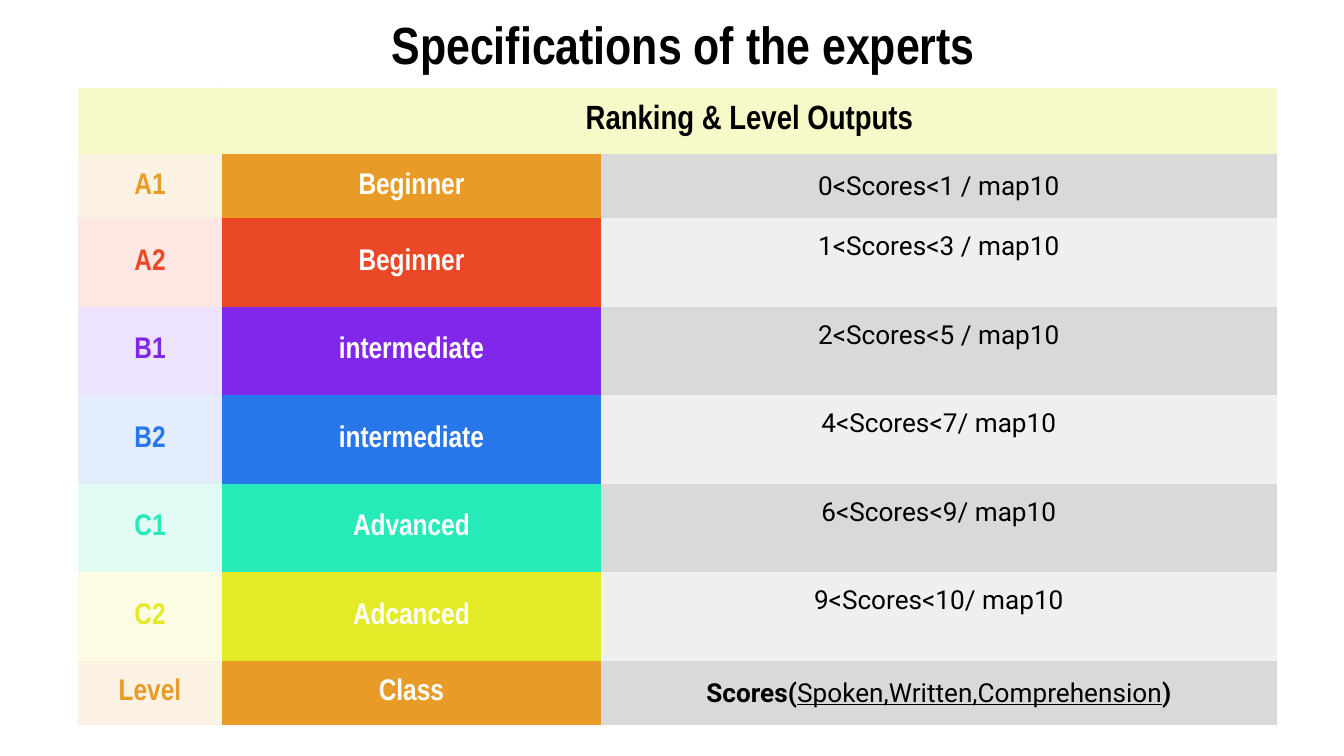
import pptx
import pptx.dml.color
import pptx.enum.text
import pptx.oxml.ns
import pptx.util
from lxml import etree

RGB = pptx.dml.color.RGBColor
ANCHOR = pptx.enum.text.MSO_ANCHOR
SCALE = 914400 / 134.4  # EMU in one px

BLACK = RGB(0x00, 0x00, 0x00)
WHITE = RGB(0xFF, 0xFF, 0xFF)
ORANGE = RGB(0xE9, 0x9B, 0x27)
RED = RGB(0xEA, 0x48, 0x27)
PURPLE = RGB(0x80, 0x27, 0xEA)
BLUE = RGB(0x27, 0x76, 0xEA)
GREEN = RGB(0x26, 0xEA, 0xB8)
YELLOW = RGB(0xE4, 0xEA, 0x27)
GREY = RGB(0xD9, 0xD9, 0xD9)
PALE = RGB(0xEF, 0xEF, 0xEF)

PLAIN = "{2D5ABB26-0587-4C30-8999-92F81FD0307C}"  # table style without grid


def px(n):
    return pptx.util.Emu(round(n * SCALE))


class Deck:
    head = "Arial Narrow"
    body = "Roboto"
    pad = 13

    def __init__(self, width, height):
        self.file = pptx.Presentation()
        self.file.slide_width, self.file.slide_height = px(width), px(height)
        self.slide = self.file.slides.add_slide(self.file.slide_layouts[6])

    def text(self, frame, runs, size, font, color):
        """Each run is (words, bold, underline)."""
        par = frame.paragraphs[0]
        par.alignment = pptx.enum.text.PP_ALIGN.CENTER
        for words, bold, line in runs:
            run = par.add_run()
            run.text = words
            run.font.size = pptx.util.Pt(size)
            run.font.name = font
            run.font.bold = bold
            run.font.underline = line
            run.font.color.rgb = color

    def inset(self, part):
        part.margin_left = part.margin_right = px(self.pad)
        part.margin_top = part.margin_bottom = px(self.pad)

    def title(self, words, left, top, width, height):
        box = self.slide.shapes.add_textbox(px(left), px(top), px(width), px(height))
        frame = box.text_frame
        frame.word_wrap = True
        frame.vertical_anchor = ANCHOR.MIDDLE
        self.inset(frame)
        self.text(frame, [(words, True, False)], 28, self.head, BLACK)

    def table(self, left, top, cols, rows):
        shape = self.slide.shapes.add_table(
            len(rows), len(cols), px(left), px(top), px(sum(cols)), px(sum(rows)))
        grid = shape.table
        grid.first_row = grid.horz_banding = False
        grid._tbl.tblPr.find(pptx.oxml.ns.qn("a:tableStyleId")).text = PLAIN
        for col, width in zip(grid.columns, cols):
            col.width = px(width)
        for row, height in zip(grid.rows, rows):
            row.height = px(height)
        return grid

    def paint(self, cell, color, alpha=100):
        cell.fill.solid()
        cell.fill.fore_color.rgb = color
        if alpha < 100:
            tone = next(cell._tc.tcPr.iter(pptx.oxml.ns.qn("a:srgbClr")))
            etree.SubElement(tone, pptx.oxml.ns.qn("a:alpha"), val=str(alpha * 1000))

    def cell(self, cell, runs, size, font, color, anchor=ANCHOR.MIDDLE):
        self.inset(cell)
        cell.vertical_anchor = anchor
        self.text(cell.text_frame, runs, size, font, color)


def score(words):
    return [(words, False, False)]


# Level, class, colour and score runs of each row
LEVELS = [
    ("A1", "Beginner", ORANGE, score("0<Scores<1 / map10")),
    ("A2", "Beginner", RED, score("1<Scores<3 / map10")),
    ("B1", "intermediate", PURPLE, score("2<Scores<5 / map10")),
    ("B2", "intermediate", BLUE, score("4<Scores<7/ map10")),
    ("C1", "Advanced", GREEN, score("6<Scores<9/ map10")),
    ("C2", "Adcanced", YELLOW, score("9<Scores<10/ map10")),
    ("Level", "Class", ORANGE, [
        ("Scores(", True, False),
        ("Spoken,Written,Comprehension", False, True),
        (")", True, False),
    ]),
]
ROWS = [63, 64, 89, 88, 89, 88, 89, 64]
TALL = 80

deck = Deck(1344, 756)
deck.title("Specifications of the experts", 78, 16, 1210, 55)

# Header row
grid = deck.table(78, 88, [144, 379, 676], ROWS)
grid.cell(0, 1).merge(grid.cell(0, 2))
for col in range(3):
    deck.paint(grid.cell(0, col), YELLOW, 25)
deck.cell(grid.cell(0, 1), [("Ranking & Level Outputs", True, False)],
          18, deck.head, BLACK)

# Level rows; scores sit at the top of the tall ones
for i, (level, name, color, runs) in enumerate(LEVELS, 1):
    first, second, third = (grid.cell(i, col) for col in range(3))
    deck.paint(first, color, 13)
    deck.cell(first, [(level, True, False)], 16, deck.head, color)
    deck.paint(second, color)
    deck.cell(second, [(name, True, False)], 16, deck.head, WHITE)
    deck.paint(third, GREY if i % 2 else PALE)
    anchor = ANCHOR.TOP if ROWS[i] > TALL else ANCHOR.MIDDLE
    deck.cell(third, runs, 14, deck.body, BLACK, anchor)

deck.file.save("out.pptx")
